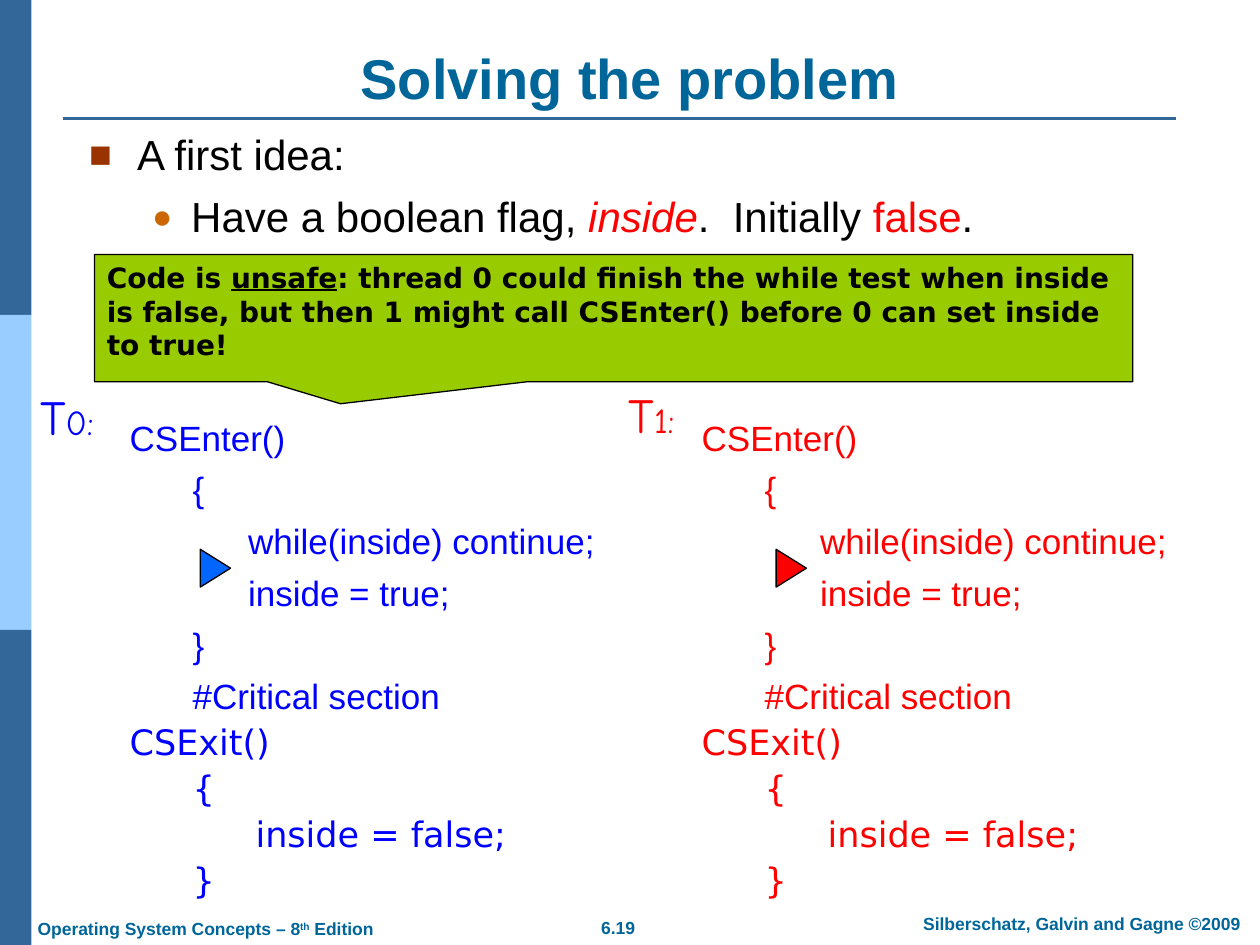
from dataclasses import dataclass, field
from typing import Optional

from lxml import etree
from pptx import Presentation
from pptx.dml.color import RGBColor
from pptx.enum.shapes import MSO_CONNECTOR, MSO_SHAPE
from pptx.enum.text import MSO_ANCHOR as Anchor, PP_ALIGN as Align
from pptx.oxml.ns import qn
from pptx.util import Inches, Pt

TEAL, NAVY, SKY = "006699", "336699", "99CCFF"
BLACK, RED, BLUE = "000000", "FF0000", "0000FF"
SANS, COMIC = "DejaVu Sans", "Comic Neue"


@dataclass
class Run:
    text: str
    fmt: dict = field(default_factory=dict)
    raised: bool = False


@dataclass
class Para:
    runs: list
    level: int = 0
    margin: float = 0
    indent: float = 0
    before: float = 0
    spacing: Optional[float] = None
    align: Align = Align.LEFT
    bullet: Optional[tuple] = None  # character, colour, size in percent


def rgb(value: str) -> RGBColor:
    return RGBColor.from_string(value)


def set_font(font, fmt: dict) -> None:
    for name, value in fmt.items():
        if name == "color":
            font.color.rgb = rgb(value)
        else:
            setattr(font, name, Pt(value) if name == "size" else value)


def add_bullet(pPr, char: str, color: str, percent: int) -> None:
    clr = etree.SubElement(pPr, qn("a:buClr"))
    etree.SubElement(clr, qn("a:srgbClr"), val=color)
    etree.SubElement(pPr, qn("a:buSzPct"), val=str(percent * 1000))
    etree.SubElement(pPr, qn("a:buFont"), typeface="Arial")
    etree.SubElement(pPr, qn("a:buChar"), char=char)


def fill_text(tf, paras: list, base: dict, wrap=True, anchor=Anchor.TOP) -> None:
    tf.word_wrap = wrap
    tf.vertical_anchor = anchor
    for i, para in enumerate(paras):
        p = tf.add_paragraph() if i else tf.paragraphs[0]
        p.level, p.alignment = para.level, para.align
        p.space_before = Pt(para.before)
        if para.spacing:
            p.line_spacing = para.spacing
        pPr = p._p.get_or_add_pPr()
        pPr.set("marL", str(Inches(para.margin)))
        pPr.set("indent", str(Inches(para.indent)))
        if para.bullet:
            add_bullet(pPr, *para.bullet)
        for run in para.runs:
            r = p.add_run()
            r.text = run.text
            set_font(r.font, {**base, **run.fmt})
            if run.raised:
                r._r.get_or_add_rPr().set("baseline", "30000")


def add_text(s, box: tuple, paras: list, base: dict, **options) -> None:
    tb = s.shapes.add_textbox(*map(Inches, box))
    fill_text(tb.text_frame, paras, base, **options)


def add_shape(s, kind, box: tuple, fill: str, line: Optional[str] = None):
    sp = s.shapes.add_shape(kind, *map(Inches, box))
    sp.shadow.inherit = False
    sp.fill.solid()
    sp.fill.fore_color.rgb = rgb(fill)
    if line:
        sp.line.color.rgb = rgb(line)
        sp.line.width = Pt(0.75)
    else:
        sp.line.fill.background()
    return sp


def code_lines() -> list:
    """Listing shared by both threads: text, level, margin, indent."""
    enter = [("CSEnter()", 0, 0, 0), ("{", 1, 0.81, -0.31),
             ("while(inside) continue;", 2, 1.19, -0.25),
             ("inside = true;", 2, 1.19, -0.25),
             ("}", 1, 0.81, -0.31), ("#Critical section", 1, 0.81, -0.31)]
    leave = [("CSExit()", 0, 0, 0), ("{", 1, 0.5, 0),
             ("inside = false;", 2, 1, 0), ("}", 1, 0.5, 0)]
    paras = []
    for lines, font, before in ((enter, "Arial", 8), (leave, SANS, 4.6)):
        for text, level, margin, indent in lines:
            # A negative indent without a bullet starts at the margin less the indent
            paras.append(Para([Run(text, {"name": font})], level, margin + indent,
                              0, before if paras else 0, 0.9))
    return paras


@dataclass
class Thread:
    label: str
    color: str
    marker: str
    code_left: float
    marker_left: float
    label_box: tuple


def add_thread(s, t: Thread) -> None:
    add_text(s, (t.code_left, 3.29, 4.08, 3.78), code_lines(),
             {"size": 20, "color": t.color})
    tri = add_shape(s, MSO_SHAPE.ISOSCELES_TRIANGLE,
                    (t.marker_left, 4.39, 0.3, 0.24), t.marker, BLACK)
    tri.rotation = 90
    label = Para([Run("T", {"size": 28}), Run(t.label)], align=Align.CENTER)
    add_text(s, t.label_box, [label],
             {"size": 20, "name": COMIC, "color": t.color},
             wrap=False, anchor=Anchor.MIDDLE)


def main() -> None:
    prs = Presentation()
    prs.slide_width, prs.slide_height = Inches(10), Inches(7.5)
    s = prs.slides.add_slide(prs.slide_layouts[6])

    # Side band and title rule
    for i, color in enumerate((NAVY, SKY, NAVY)):
        add_shape(s, MSO_SHAPE.RECTANGLE, (0, 2.5 * i, 0.25, 2.5), color)
    rule = s.shapes.add_connector(MSO_CONNECTOR.STRAIGHT, Inches(0.5),
                                  Inches(0.94), Inches(9.33), Inches(0.94))
    rule.line.color.rgb = rgb(NAVY)
    rule.line.width = Pt(1.5)
    etree.SubElement(rule._element.spPr, qn("a:effectLst"))

    # Footer
    small = {"size": 10, "name": "Arial", "color": TEAL, "bold": True}
    add_text(s, (4.66, 7.23, 0.49, 0.27),
             [Para([Run("6.19")], align=Align.CENTER)], small, wrap=False)
    add_text(s, (7.1, 7.2, 2.97, 0.27),
             [Para([Run("Silberschatz, Galvin and Gagne ©2009")],
                   align=Align.CENTER)], small)
    add_text(s, (0.2, 7.24, 2.88, 0.27),
             [Para([Run("Operating System Concepts – 8"),
                    Run("th", raised=True), Run(" Edition")])], small, wrap=False)

    # Title and opening bullets
    add_text(s, (0.5, 0.3, 9, 0.63),
             [Para([Run("Solving the problem")], align=Align.CENTER)],
             {**small, "size": 32}, anchor=Anchor.BOTTOM)
    flag = [Run("Have a boolean flag, "),
            Run("inside", {"color": RED, "italic": True}),
            Run(".  Initially "), Run("false", {"color": RED}), Run(".")]
    add_text(s, (0.61, 1.02, 9.1, 1),
             [Para([Run("A first idea:")], 0, 0.38, -0.38, 0, 0.9,
                   bullet=("■", "993300", 90)),
              Para(flag, 1, 0.81, -0.31, 9.5, 0.9, bullet=("●", "CC6600", 80))],
             {"size": 24, "name": "Arial", "color": BLACK})

    # Warning callout
    callout = add_shape(s, MSO_SHAPE.RECTANGULAR_CALLOUT,
                        (0.75, 2.02, 8.24, 1.01), "99CC00", BLACK)
    callout.adjustments[0], callout.adjustments[1] = -0.263, 0.673
    warning = [Run("Code is "), Run("unsafe", {"underline": True}),
               Run(": thread 0 could finish the while test when inside is false, "
                   "but then 1 might call CSEnter() before 0 can set inside to true!")]
    fill_text(callout.text_frame, [Para(warning)],
              {"size": 16, "name": SANS, "color": BLACK, "bold": True})

    # The two threads
    for thread in (
        Thread("0:", BLUE, "0066FF", 0.93, 1.56, (0.17, 3.02, 0.72, 0.57)),
        Thread("1:", RED, RED, 5.47, 6.13, (4.83, 3, 0.68, 0.57)),
    ):
        add_thread(s, thread)

    prs.save("out.pptx")


if __name__ == "__main__":
    main()
